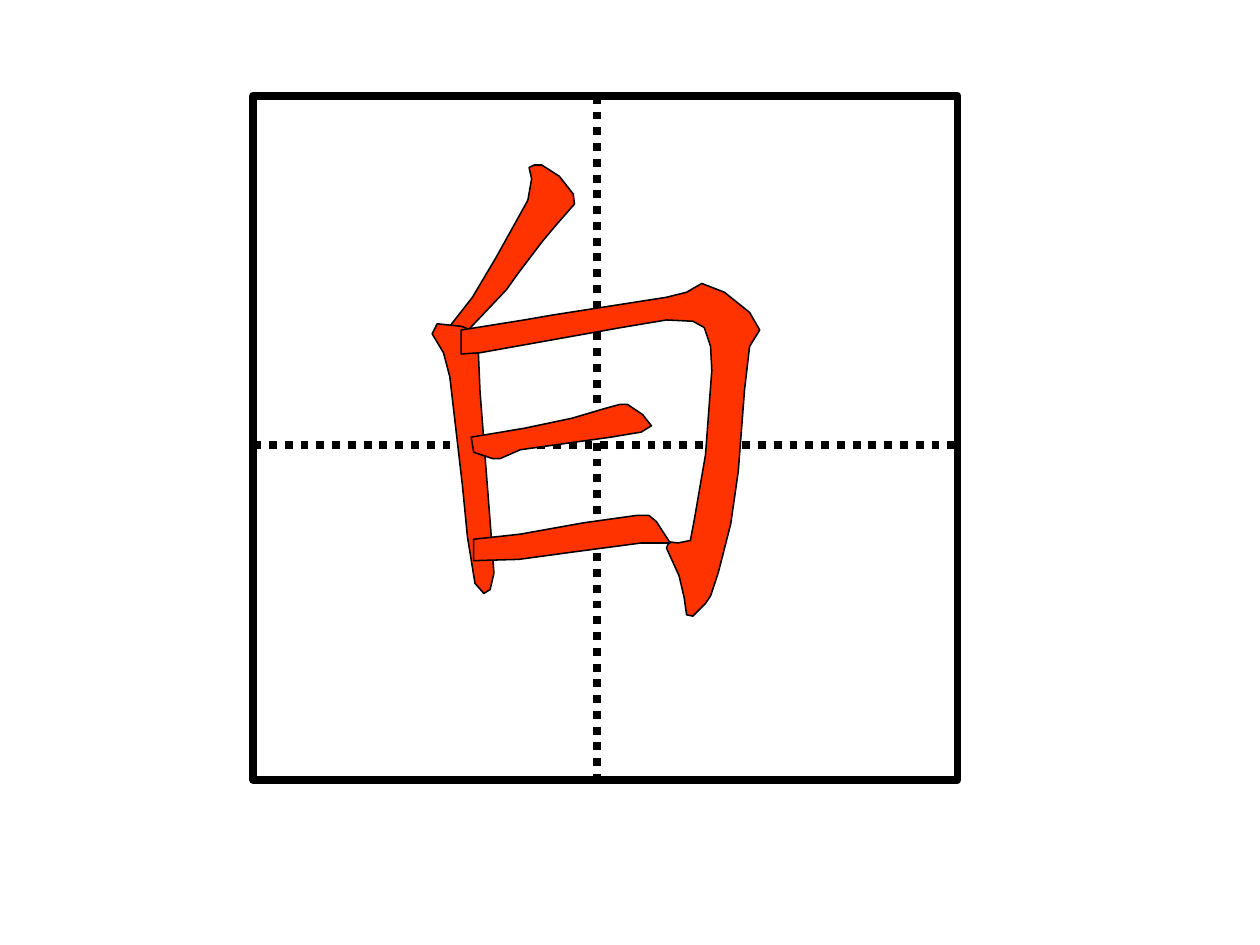
from dataclasses import dataclass

from lxml.etree import SubElement
from pptx import Presentation
from pptx.dml.color import RGBColor
from pptx.enum.dml import MSO_LINE
from pptx.enum.shapes import MSO_CONNECTOR, MSO_SHAPE
from pptx.oxml.ns import qn
from pptx.util import Inches, Pt


@dataclass(frozen=True)
class Theme:
    paper: RGBColor = RGBColor.from_string("FFFFFF")
    ink: RGBColor = RGBColor.from_string("000000")
    brush: RGBColor = RGBColor.from_string("FF3300")
    grid_width: float = 4.5
    outline_width: float = 0.88


theme = Theme()


def paint(shape, fill, width):
    shape.shadow.inherit = False
    shape.fill.solid()
    shape.fill.fore_color.rgb = fill
    shape.line.color.rgb = theme.ink
    shape.line.width = Pt(width)


deck = Presentation()
deck.slide_width, deck.slide_height = Inches(10), Inches(7.5)
slide = deck.slides.add_slide(deck.slide_layouts[6])

left, top, right, bottom = Inches(2.01), Inches(0.76), Inches(7.6), Inches(6.19)
middle_x, middle_y = Inches(4.74), Inches(3.53)
practice_grid = slide.shapes.add_group_shape()
border = practice_grid.shapes.add_shape(
    MSO_SHAPE.RECTANGLE, left, top, right - left, bottom - top)
paint(border, theme.paper, theme.grid_width)
for ends in ((left, middle_y, right, middle_y), (middle_x, top, middle_x, bottom)):
    guide = practice_grid.shapes.add_connector(MSO_CONNECTOR.STRAIGHT, *ends)
    guide.line.color.rgb = theme.ink
    guide.line.width = Pt(theme.grid_width)
    guide.line.dash_style = MSO_LINE.ROUND_DOT
    SubElement(guide._element.spPr, qn("a:effectLst"))

falling_stroke = [
    (412, 216), (402, 230), (366, 268), (350, 268), (375, 236), (394, 204),
    (419, 159), (422, 142), (420, 133), (424, 131), (430, 131), (444, 140),
    (455, 154), (456, 162), (442, 178), (431, 191),
]
left_stroke = [
    (352, 280), (343, 265), (347, 257), (366, 259), (379, 264), (381, 311),
    (390, 427), (392, 455), (389, 468), (384, 471), (377, 463), (371, 426),
    (367, 385), (357, 299),
]
turning_stroke = [
    (560, 479), (550, 489), (545, 488), (543, 474), (539, 457), (529, 435),
    (531, 430), (538, 431), (548, 429), (551, 413), (560, 361), (565, 294),
    (564, 275), (559, 260), (550, 255), (529, 254), (493, 260), (437, 270),
    (381, 280), (366, 281), (366, 262), (416, 254), (439, 250), (529, 236),
    (545, 232), (557, 225), (575, 232), (595, 248), (603, 262), (595, 275),
    (591, 309), (586, 374), (580, 416), (570, 455), (564, 473),
]
middle_stroke = [
    (481, 324), (492, 321), (498, 321), (510, 329), (517, 338), (509, 343),
    (485, 347), (413, 357), (397, 364), (391, 364), (376, 359), (374, 347),
    (416, 340), (454, 332),
]
closing_stroke = [
    (532, 431), (509, 431), (456, 438), (412, 444), (376, 445), (376, 428),
    (413, 424), (463, 415), (506, 409), (515, 409), (521, 414),
]

for start, *outline in (falling_stroke, left_stroke, turning_stroke,
                        middle_stroke, closing_stroke):
    builder = slide.shapes.build_freeform(*start, scale=Inches(0.01))
    builder.add_line_segments(outline, close=True)
    paint(builder.convert_to_shape(), theme.brush, theme.outline_width)

deck.save("out.pptx")
